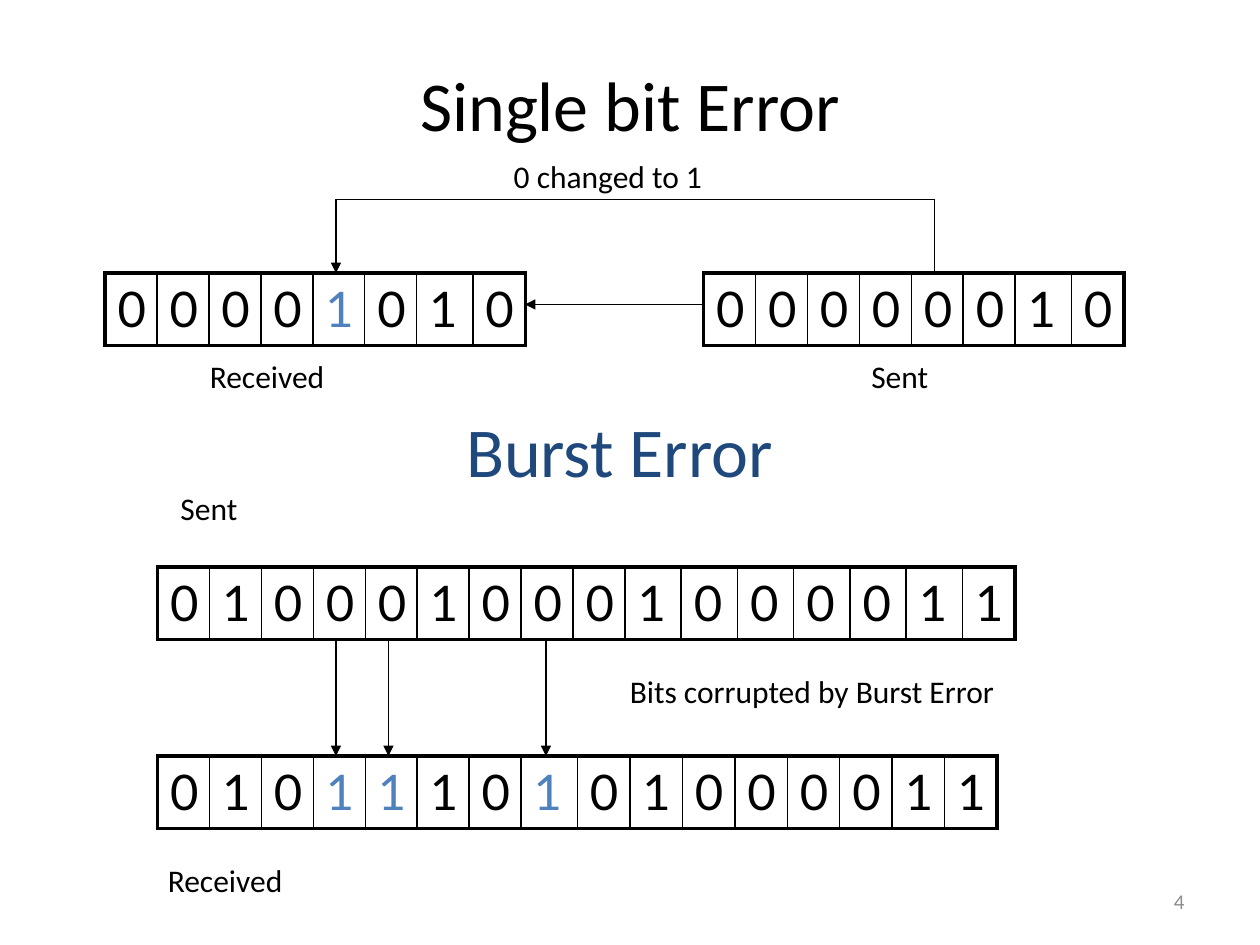
import pptx
import pptx.dml.color
import pptx.enum.shapes
import pptx.enum.text
import pptx.oxml
import pptx.oxml.ns
import pptx.util

ANCHOR = pptx.enum.text.MSO_ANCHOR
ALIGN = pptx.enum.text.PP_ALIGN
AUTO_SIZE = pptx.enum.text.MSO_AUTO_SIZE

COLORS = {
    "ink": "000000",
    "changed": "4F81BD",
    "heading": "1F497D",
    "number": "8C8C8C",
}
FORMATS = {
    "heading": {"name": "Calibri", "size": pptx.util.Pt(40)},
    "label": {"name": "Calibri", "size": pptx.util.Pt(18)},
    "number": {"name": "Calibri", "size": pptx.util.Pt(12)},
    "bit": {"name": "Lato", "size": pptx.util.Pt(28)},
}
GRID_COLUMNS, GRID_ROWS = 120, 90
NARROW, MEDIUM, WIDE = 4.95, 5, 5.36
OUTER, INNER = 2.25, 1


def set_values(target, values):
    for name, value in values.items():
        setattr(target, name, value)


class BitSlide:
    def __init__(self, presentation):
        self.column = presentation.slide_width / GRID_COLUMNS
        self.row = presentation.slide_height / GRID_ROWS
        self.slide = presentation.slides.add_slide(presentation.slide_layouts[5])

    def x(self, columns):
        return round(columns * self.column)

    def y(self, rows):
        return round(rows * self.row)

    def box(self, left, top, width, height):
        return self.x(left), self.y(top), self.x(width), self.y(height)

    def fill_text(self, frame, text, style, color, align=ALIGN.LEFT):
        paragraph = frame.paragraphs[0]
        paragraph.alignment = align
        run = paragraph.add_run()
        run.text = text
        set_values(run.font, FORMATS[style])
        run.font.color.rgb = pptx.dml.color.RGBColor.from_string(COLORS[color])

    def title(self, text, box):
        shape = self.slide.shapes.title
        places = zip(("left", "top", "width", "height"), self.box(*box))
        set_values(shape, dict(places))
        self.heading(shape, text, "ink")

    def heading(self, shape, text, color):
        set_values(shape.text_frame, {
            "auto_size": AUTO_SIZE.NONE,
            "vertical_anchor": ANCHOR.TOP,
            "word_wrap": True,
            "margin_top": pptx.util.Inches(0.07),
        })
        self.fill_text(shape.text_frame, text, "heading", color, ALIGN.CENTER)

    def subheading(self, text, box):
        shape = self.slide.shapes.add_textbox(*self.box(*box))
        self.heading(shape, text, "heading")

    def label(self, text, left, top, width):
        shape = self.slide.shapes.add_textbox(*self.box(left, top, width, 4.85))
        set_values(shape.text_frame, {
            "word_wrap": False,
            "auto_size": AUTO_SIZE.SHAPE_TO_FIT_TEXT,
        })
        self.fill_text(shape.text_frame, text, "label", "ink")

    def number(self, text, box):
        shape = self.slide.shapes.add_textbox(*self.box(*box))
        set_values(shape.text_frame, {
            "word_wrap": True,
            "vertical_anchor": ANCHOR.MIDDLE,
        })
        self.fill_text(shape.text_frame, text, "number", "number", ALIGN.RIGHT)

    def borders(self, cell, widths):
        properties = cell._tc.get_or_add_tcPr()
        for index, (side, points) in enumerate(widths.items()):
            border = pptx.oxml.parse_xml(
                f'<a:ln{side} {pptx.oxml.ns.nsdecls("a")} w="{pptx.util.Pt(points)}">'
                f'<a:solidFill><a:srgbClr val="{COLORS["ink"]}"/></a:solidFill>'
                f'</a:ln{side}>')
            properties.insert(index, border)

    def bits(self, bits, left, top, widths, changed=()):
        frame = self.slide.shapes.add_table(
            1, len(bits), *self.box(left, top, sum(widths), 6.9))
        table = frame.table
        set_values(table, {"first_row": False, "horz_banding": False})
        last = len(bits) - 1
        for index, (bit, width) in enumerate(zip(bits, widths)):
            table.columns[index].width = self.x(width)
            cell = table.cell(0, index)
            cell.fill.background()
            self.fill_text(cell.text_frame, bit, "bit",
                           "changed" if index in changed else "ink")
            self.borders(cell, {
                "L": OUTER if index == 0 else INNER,
                "R": OUTER if index == last else INNER,
                "T": OUTER,
                "B": OUTER,
            })

    def line(self, start, end, arrow=False):
        connector = self.slide.shapes.add_connector(
            pptx.enum.shapes.MSO_CONNECTOR.STRAIGHT,
            self.x(start[0]), self.y(start[1]), self.x(end[0]), self.y(end[1]))
        connector.line.width = pptx.util.Pt(0.75)
        connector.line.color.rgb = pptx.dml.color.RGBColor.from_string(COLORS["ink"])
        namespace = pptx.oxml.ns.nsdecls("a")
        if arrow:
            connector.line._get_or_add_ln().append(
                pptx.oxml.parse_xml(f'<a:tailEnd {namespace} type="triangle"/>'))
        connector._element.spPr.append(
            pptx.oxml.parse_xml(f"<a:effectLst {namespace}/>"))


def main():
    presentation = pptx.Presentation()
    presentation.slide_width = pptx.util.Inches(10)
    presentation.slide_height = pptx.util.Inches(7.5)
    slide = BitSlide(presentation)

    byte_widths = [NARROW] * 6 + [WIDE, MEDIUM]
    slide.title("Single bit Error", (6, 5, 108, 18))
    slide.bits("00001010", 10, 26, byte_widths, changed={4})
    slide.bits("00000010", 67, 26, byte_widths)
    slide.line((89, 19), (32, 19))
    slide.line((32, 19), (32, 26), arrow=True)
    slide.line((89, 19), (89, 26))
    slide.line((67, 29), (50, 29), arrow=True)
    slide.label("0 changed to 1", 47.75, 14.4, 22.3)
    slide.label("Received", 18.8, 33.4, 14.3)
    slide.label("Sent", 81.8, 33.4, 8.3)

    slide.subheading("Burst Error", (5, 38, 108, 18))
    slide.label("Sent", 16, 46, 8.3)
    slide.bits("0100010001000011", 15, 54, [NARROW] * 9 + [WIDE] * 6 + [MEDIUM])
    slide.bits("0101110101000011", 15, 72, [NARROW] * 7 + [WIDE] + [MEDIUM] * 8,
               changed={3, 4, 7})
    for column in (32, 37, 52):
        slide.line((column, 61), (column, 72), arrow=True)
    slide.label("Bits corrupted by Burst Error", 58.8, 63.4, 40.3)
    slide.label("Received", 14.8, 81.4, 14.3)
    slide.number("4", (86, 83.4, 28, 4.8))
    presentation.save("out.pptx")


if __name__ == "__main__":
    main()
